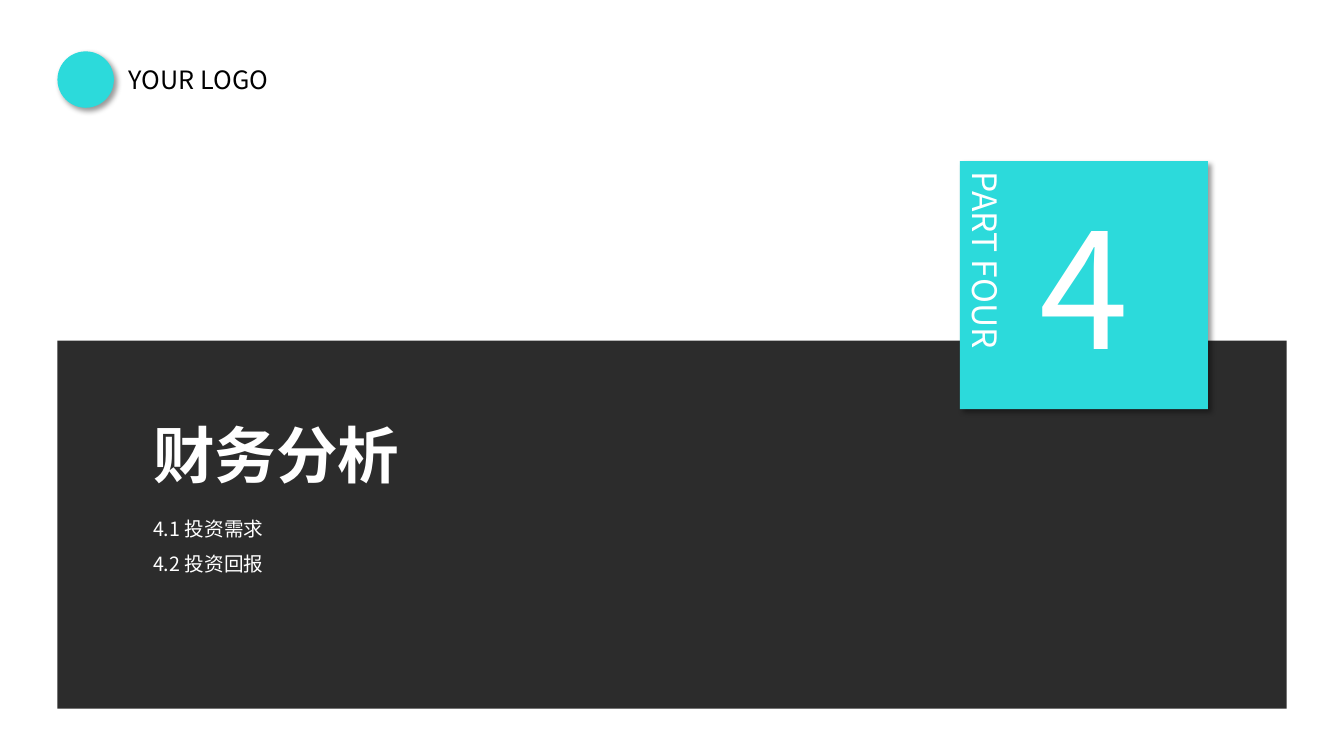
from dataclasses import dataclass

from lxml import etree
from pptx import Presentation
from pptx.dml.color import RGBColor
from pptx.enum import shapes, text
from pptx.oxml import ns
from pptx.util import Inches, Pt


@dataclass(frozen=True)
class Theme:
    font: str = "Noto Sans CJK SC"
    accent: str = "2CDADB"
    dark: str = "2C2C2C"
    white: str = "FFFFFF"
    black: str = "000000"
    number_size: int = 115
    title_size: int = 44
    part_size: int = 24
    logo_size: int = 18
    topic_size: int = 14


THEME = Theme()


@dataclass(frozen=True)
class Box:
    left: float
    top: float
    width: float
    height: float

    def lengths(self) -> tuple:
        return tuple(Inches(side) for side in (self.left, self.top, self.width, self.height))


@dataclass(frozen=True)
class Block:
    box: Box
    kind: shapes.MSO_SHAPE
    color: str
    shadow: bool = False


@dataclass(frozen=True)
class Label:
    box: Box
    lines: tuple[str, ...]
    size: int
    color: str = THEME.white
    bold: bool = False
    rotation: int = 0
    line_spacing: float = 1.0
    alignment: text.PP_ALIGN = text.PP_ALIGN.LEFT
    anchor: text.MSO_ANCHOR = text.MSO_ANCHOR.TOP


BADGE = Box(9.52, 1.6, 2.46, 2.46)

BLOCKS = (
    Block(Box(0.57, 3.38, 12.19, 3.65), shapes.MSO_SHAPE.RECTANGLE, THEME.dark),
    Block(BADGE, shapes.MSO_SHAPE.RECTANGLE, THEME.accent, shadow=True),
    Block(Box(0.57, 0.51, 0.56, 0.56), shapes.MSO_SHAPE.OVAL, THEME.accent, shadow=True),
)

LABELS = (
    Label(BADGE, ("4",), THEME.number_size,
          alignment=text.PP_ALIGN.CENTER, anchor=text.MSO_ANCHOR.MIDDLE),
    Label(Box(8.19, 2.94, 3.17, 0.5), ("PART FOUR",), THEME.part_size, rotation=90),
    Label(Box(1.42, 4.04, 4.28, 0.92), ("财务分析",), THEME.title_size,
          bold=True, anchor=text.MSO_ANCHOR.MIDDLE),
    Label(Box(1.18, 0.59, 2.09, 0.4), ("YOUR LOGO",), THEME.logo_size, color=THEME.black),
    Label(Box(1.42, 4.96, 1.85, 1.87), ("4.1 投资需求", "4.2 投资回报"),
          THEME.topic_size, line_spacing=1.5),
)


def add_shadow(shape) -> None:
    effects = shape._element.spPr.find(ns.qn("a:effectLst"))
    shadow = etree.SubElement(
        effects, ns.qn("a:outerShdw"), blurRad=str(Pt(4)), dist=str(Pt(3)),
        dir="2700000", algn="tl", rotWithShape="0",
    )
    color = etree.SubElement(shadow, ns.qn("a:srgbClr"), val=THEME.black)
    etree.SubElement(color, ns.qn("a:alpha"), val="40000")


def draw_block(slide, block: Block) -> None:
    shape = slide.shapes.add_shape(block.kind, *block.box.lengths())
    shape.fill.solid()
    shape.fill.fore_color.rgb = RGBColor.from_string(block.color)
    shape.line.fill.background()
    shape.shadow.inherit = False
    if block.shadow:
        add_shadow(shape)


def style_paragraph(paragraph, label: Label) -> None:
    paragraph.alignment = label.alignment
    paragraph.line_spacing = label.line_spacing
    font = paragraph.font
    font.name = THEME.font
    font.size = Pt(label.size)
    font.bold = label.bold
    font.color.rgb = RGBColor.from_string(label.color)
    properties = paragraph._p.pPr.find(ns.qn("a:defRPr"))
    etree.SubElement(properties, ns.qn("a:ea"), typeface=THEME.font)


def draw_label(slide, label: Label) -> None:
    shape = slide.shapes.add_textbox(*label.box.lengths())
    shape.rotation = label.rotation
    frame = shape.text_frame
    frame.word_wrap = True
    frame.vertical_anchor = label.anchor
    frame.text = "\n".join(label.lines)
    for paragraph in frame.paragraphs:
        style_paragraph(paragraph, label)


def main() -> None:
    presentation = Presentation()
    presentation.slide_width = Inches(13.33)
    presentation.slide_height = Inches(7.5)
    slide = presentation.slides.add_slide(presentation.slide_layouts[6])
    for block in BLOCKS:
        draw_block(slide, block)
    for label in LABELS:
        draw_label(slide, label)
    presentation.save("out.pptx")


if __name__ == "__main__":
    main()
